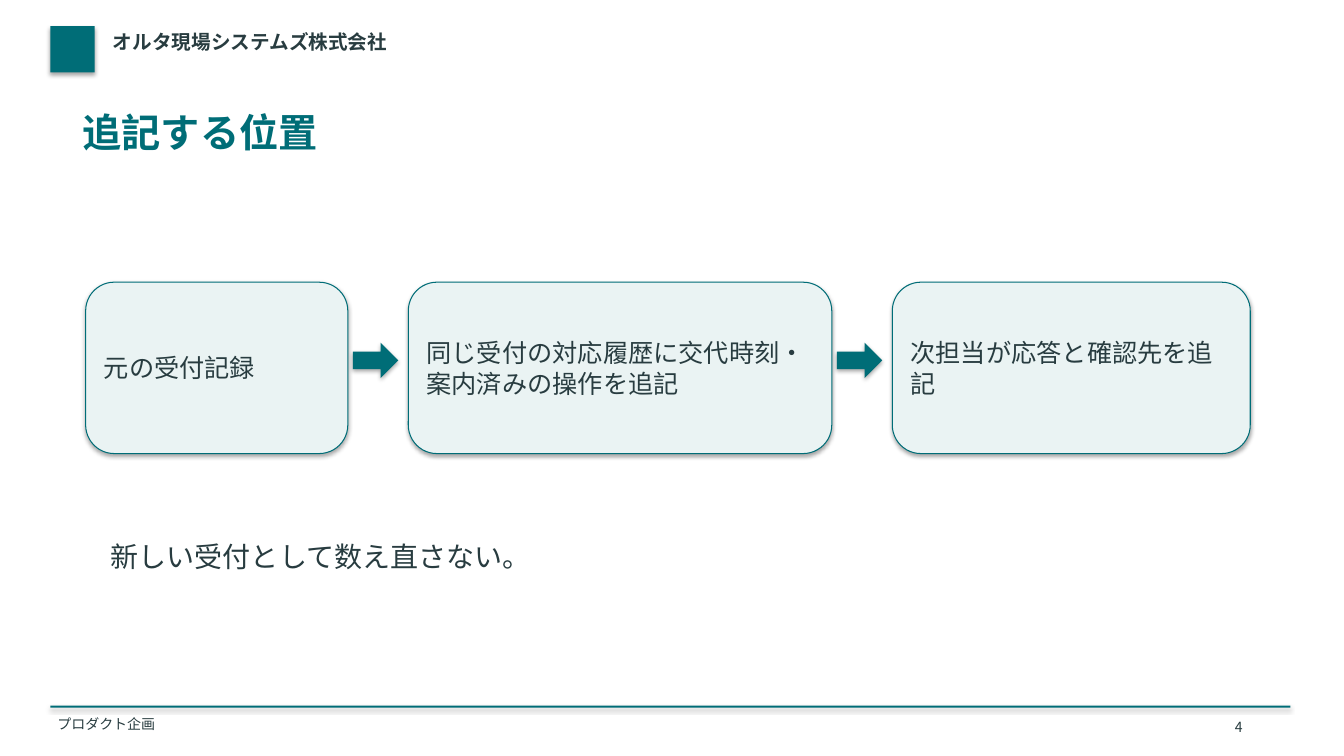
from dataclasses import dataclass

from lxml.etree import SubElement
from pptx import Presentation
from pptx.dml.color import RGBColor
from pptx.enum.shapes import MSO_SHAPE
from pptx.enum.text import MSO_ANCHOR, MSO_AUTO_SIZE, PP_ALIGN
from pptx.oxml.ns import qn
from pptx.util import Inches, Pt


@dataclass(frozen=True)
class Theme:
    """Colours, type sizes and font of the slide."""

    teal: RGBColor = RGBColor(0x00, 0x6D, 0x77)
    ink: RGBColor = RGBColor(0x28, 0x3C, 0x40)
    pale: RGBColor = RGBColor(0xEA, 0xF3, 0xF3)
    font: str = "Noto Sans CJK JP"
    title: int = 28
    note: int = 20
    card: int = 18
    company: int = 14
    small: int = 10


THEME = Theme()
THIN_INSET = 0.02


def write(shape, text, size, color=THEME.ink, bold=False, inset=None, anchor=MSO_ANCHOR.TOP):
    """Write one left-aligned paragraph into a shape."""
    frame = shape.text_frame
    frame.word_wrap = True
    frame.auto_size = MSO_AUTO_SIZE.NONE
    frame.vertical_anchor = anchor
    if inset is not None:
        frame.margin_left = frame.margin_right = Inches(inset)
        frame.margin_top = frame.margin_bottom = Inches(inset)
    para = frame.paragraphs[0]
    para.alignment = PP_ALIGN.LEFT
    span = para.add_run()
    span.text = text
    span.font.name = THEME.font
    span.font.size = Pt(size)
    span.font.bold = bold
    span.font.color.rgb = color
    SubElement(span.font._element, qn("a:ea"), typeface=THEME.font)


def add_label(page, left, top, width, height, text, size, **style):
    """Add a text box."""
    box = page.shapes.add_textbox(Inches(left), Inches(top), Inches(width), Inches(height))
    write(box, text, size, **style)


def add_block(page, kind, left, top, width, height, fill=THEME.teal):
    """Add a filled shape without outline, with the theme's soft shadow."""
    block = page.shapes.add_shape(kind, Inches(left), Inches(top), Inches(width), Inches(height))
    block.fill.solid()
    block.fill.fore_color.rgb = fill
    block.line.fill.background()
    return block


def add_card(page, left, top, width, height, text):
    """Add a rounded step of the flow."""
    card = add_block(page, MSO_SHAPE.ROUNDED_RECTANGLE, left, top, width, height, THEME.pale)
    card.line.color.rgb = THEME.teal
    card.line.width = Pt(0.75)
    write(card, text, THEME.card, anchor=MSO_ANCHOR.MIDDLE)


def add_flow(page, steps, left=0.85, top=2.8, height=1.7, gap=0.6):
    """Lay out the steps in a row with an arrow in each gap."""
    for index, (text, width) in enumerate(steps):
        if index:
            add_block(page, MSO_SHAPE.RIGHT_ARROW, left - gap + 0.05, top + 0.6, 0.45, 0.35)
        add_card(page, left, top, width, height, text)
        left += width + gap


def add_title(page, text):
    """Place and fill the title placeholder."""
    title = page.shapes.title
    title.left, title.top = Inches(0.8), Inches(1.05)
    title.width, title.height = Inches(11.7), Inches(0.75)
    write(title, text, THEME.title, color=THEME.teal, bold=True, inset=THIN_INSET)


def add_frame(page):
    """Add the company header and the footer."""
    add_block(page, MSO_SHAPE.RECTANGLE, 0.5, 0.26, 0.44, 0.46)
    add_label(page, 1.1, 0.28, 10, 0.4, "オルタ現場システムズ株式会社", THEME.company,
              bold=True, inset=THIN_INSET)
    add_block(page, MSO_SHAPE.RECTANGLE, 0.5, 7, 12.3, 0.02)
    add_label(page, 0.55, 7.08, 9, 0.22, "プロダクト企画", THEME.small, inset=THIN_INSET)
    add_label(page, 12.15, 7.08, 0.5, 0.22, "4", THEME.small)


def main():
    """Build the deck and save it."""
    deck = Presentation()
    deck.slide_width, deck.slide_height = Inches(13.33), Inches(7.5)
    page = deck.slides.add_slide(deck.slide_layouts[5])
    add_frame(page)
    add_title(page, "追記する位置")
    add_flow(page, [
        ("元の受付記録", 2.6),
        ("同じ受付の対応履歴に交代時刻・案内済みの操作を追記", 4.2),
        ("次担当が応答と確認先を追記", 3.55),
    ])
    add_label(page, 1, 5.3, 10, 0.6, "新しい受付として数え直さない。", THEME.note)
    deck.save("out.pptx")


if __name__ == "__main__":
    main()
